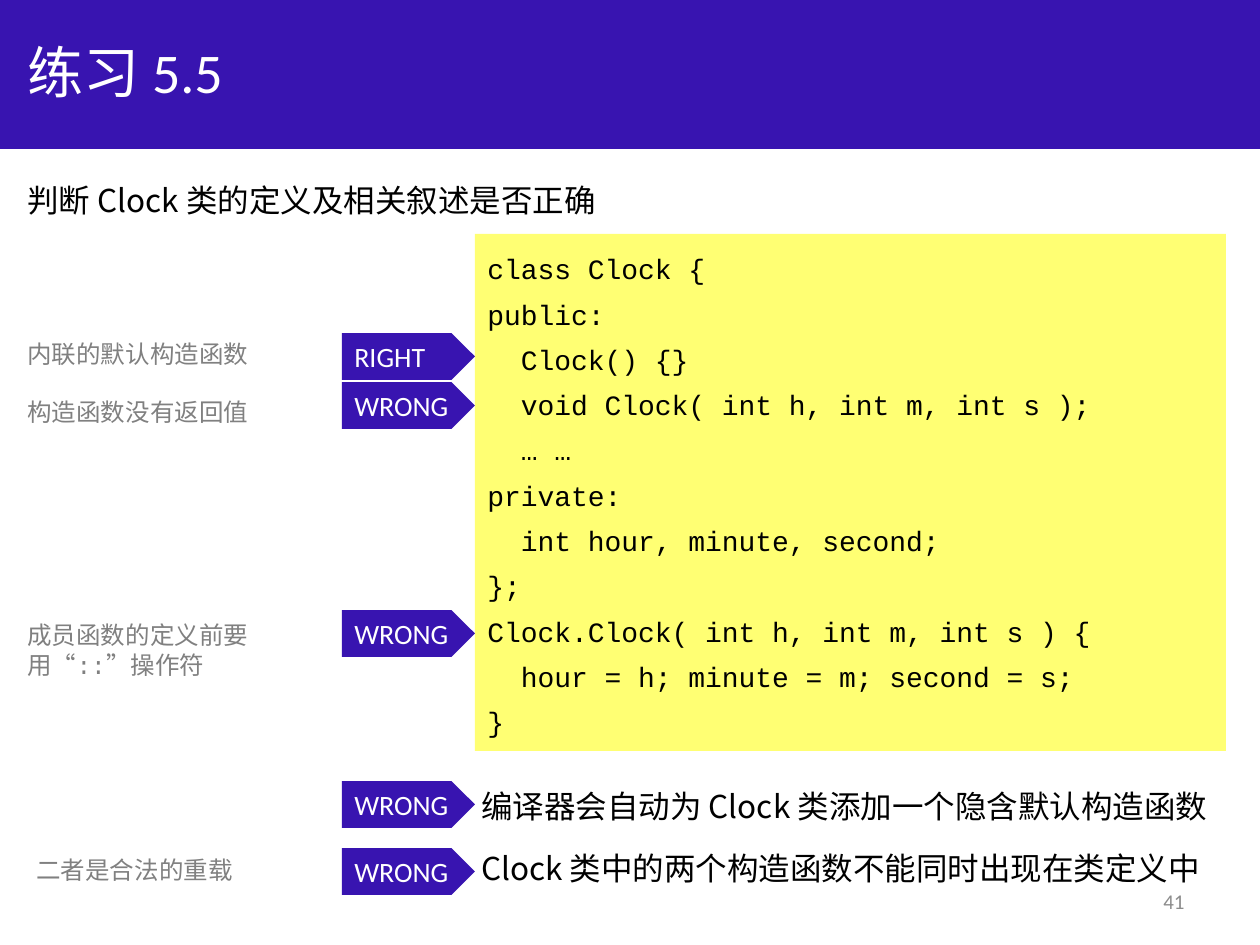
"""Build the Clock class exercise slide."""
import pptx
import pptx.dml.color
import pptx.enum.shapes
import pptx.enum.text
import pptx.oxml
import pptx.oxml.ns
import pptx.util

RGB = pptx.dml.color.RGBColor
SHAPE = pptx.enum.shapes.MSO_SHAPE
ANCHOR = pptx.enum.text.MSO_ANCHOR
ALIGN = pptx.enum.text.PP_ALIGN

INDIGO = RGB(0x38, 0x14, 0xB0)
YELLOW = RGB(0xFF, 0xFF, 0x73)
WHITE = RGB(0xFF, 0xFF, 0xFF)
BLACK = RGB(0, 0, 0)
GRAY = RGB(0x80, 0x80, 0x80)
PAGE_GRAY = RGB(0x8C, 0x8C, 0x8C)
SANS, MONO, CJK = "Calibri", "Courier New", "Noto Sans CJK SC"

PX = 914400 / 126
LEFT = 15
CODE_LEFT = 475
ARROW_W, ARROW_H = 133, 47

TITLE = "练习 5.5"
QUESTION = "判断 Clock 类的定义及相关叙述是否正确"
CODE = """class Clock {
public:
  Clock() {}
  void Clock( int h, int m, int s );
  … …
private:
  int hour, minute, second;
};
Clock.Clock( int h, int m, int s ) {
  hour = h; minute = m; second = s;
}"""
STATEMENTS = [
    ("编译器会自动为 Clock 类添加一个隐含默认构造函数", 781, 766),
    ("Clock 类中的两个构造函数不能同时出现在类定义中", 843, 756),
]
VERDICTS = [("RIGHT", 333), ("WRONG", 382), ("WRONG", 610), ("WRONG", 781), ("WRONG", 848)]
REASONS = [
    ("内联的默认构造函数", LEFT, 333, 248, 43),
    ("构造函数没有返回值", LEFT, 391, 248, 43),
    ("成员函数的定义前要\n用“::”操作符", LEFT, 614, 248, 72),
    ("二者是合法的重载", 24, 849, 223, 43),
]
PAGE = "41"


def emu(*lengths):
    return [round(n * PX) for n in lengths]


def write(s, text, size, font, color, wrap=True, anchor=ANCHOR.TOP, align=ALIGN.LEFT, spacing=None):
    tf = s.text_frame
    tf.text = text
    tf.word_wrap = wrap
    tf.vertical_anchor = anchor
    for p in tf.paragraphs:
        p.alignment = align
        p.line_spacing = spacing
        for r in p.runs:
            r.font.size = pptx.util.Pt(size)
            r.font.name = font
            r.font.color.rgb = color
            ea = pptx.oxml.parse_xml(f'<a:ea {pptx.oxml.ns.nsdecls("a")} typeface="{CJK}"/>')
            r.font._element.append(ea)


def add_filled(slide, kind, box, color):
    s = slide.shapes.add_shape(kind, *emu(*box))
    s.shadow.inherit = False
    s.fill.solid()
    s.fill.fore_color.rgb = color
    s.line.fill.background()
    return s


def add_text(slide, box, *args, **options):
    write(slide.shapes.add_textbox(*emu(*box)), *args, **options)


def main():
    prs = pptx.Presentation()
    prs.slide_width, prs.slide_height = emu(1260, 945)
    slide = prs.slides.add_slide(prs.slide_layouts[6])

    add_filled(slide, SHAPE.RECTANGLE, (0, 0, 1260, 149), INDIGO)
    add_text(slide, (LEFT, 8, 1134, 127), TITLE, 32, SANS, WHITE, anchor=ANCHOR.MIDDLE)
    add_text(slide, (LEFT, 175, 605, 50), QUESTION, 18, CJK, BLACK)

    code = add_filled(slide, SHAPE.RECTANGLE, (CODE_LEFT, 234, 751, 517), YELLOW)
    write(code, CODE, 16, MONO, BLACK, spacing=1.35)

    for text, top, width in STATEMENTS:
        add_text(slide, (CODE_LEFT - 6, top, width, 50), text, 18, CJK, BLACK, wrap=False)
    for text, top in VERDICTS:
        box = (CODE_LEFT - ARROW_W, top, ARROW_W, ARROW_H)
        write(add_filled(slide, SHAPE.PENTAGON, box, INDIGO), text, 16, SANS, WHITE)
    for text, *box in REASONS:
        add_text(slide, box, text, 14, MONO, GRAY, wrap=False)

    add_text(slide, (903, 876, 294, 50), PAGE, 12, SANS, PAGE_GRAY,
             anchor=ANCHOR.MIDDLE, align=ALIGN.RIGHT)
    prs.save("out.pptx")


if __name__ == "__main__":
    main()
